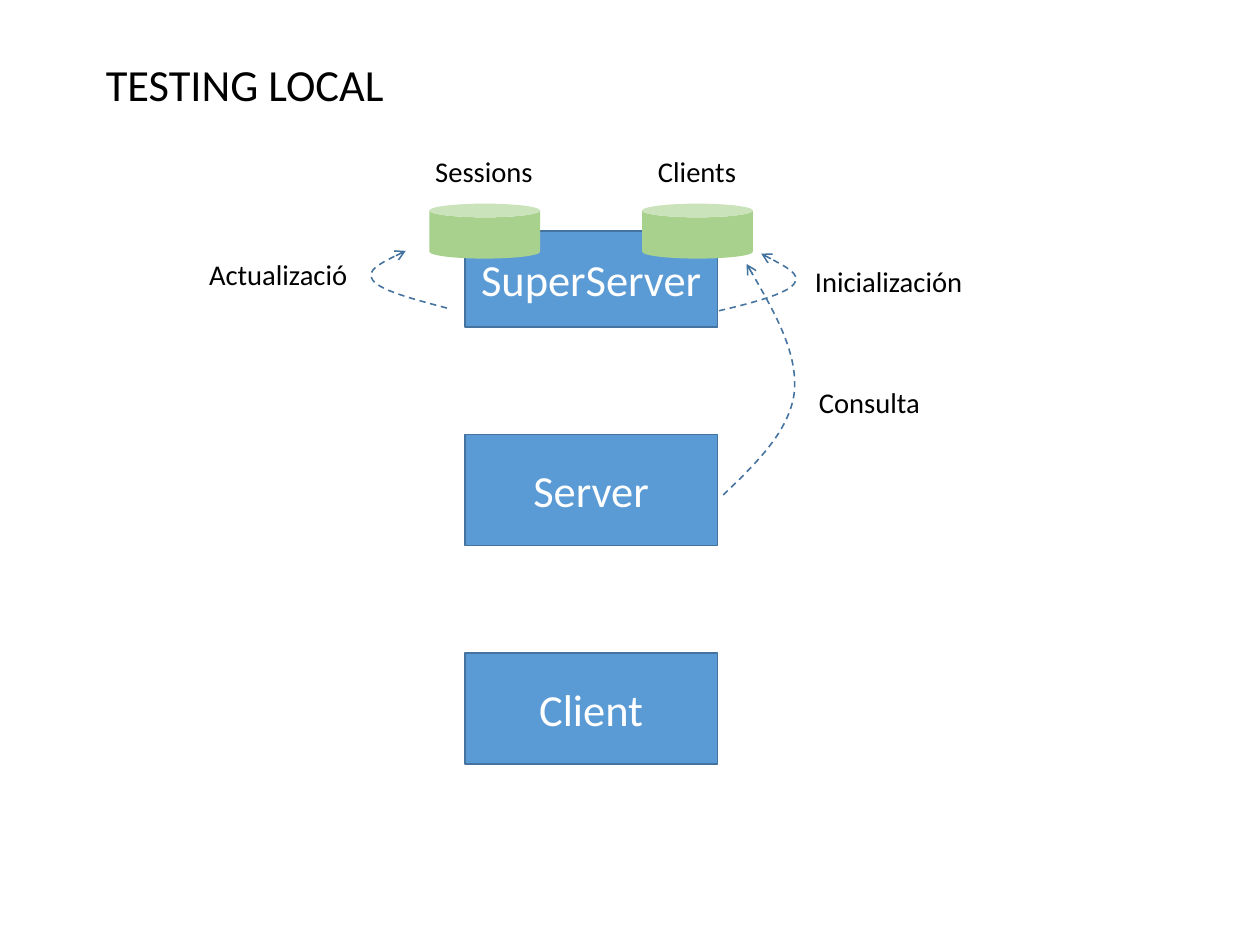
import dataclasses

import lxml.etree
import pptx
import pptx.dml.color
import pptx.enum.dml
import pptx.enum.shapes
import pptx.enum.text
import pptx.oxml.ns
import pptx.shapes.autoshape
import pptx.shapes.base
import pptx.slide
import pptx.text.text
import pptx.util

Pt = pptx.util.Pt
Color = pptx.dml.color.RGBColor
Point = tuple[float, float]


@dataclasses.dataclass(frozen=True)
class Theme:
    font: str = "Calibri"
    heading_size: float = 28
    label_size: float = 18
    line_width: float = 1
    text: Color = Color(0x00, 0x00, 0x00)
    box_text: Color = Color(0xFF, 0xFF, 0xFF)
    box: Color = Color(0x5B, 0x9B, 0xD5)
    outline: Color = Color(0x43, 0x73, 0x9E)
    store: Color = Color(0xA9, 0xD1, 0x8E)


@dataclasses.dataclass(frozen=True)
class Label:
    text: str
    left: float
    top: float
    width: float


@dataclasses.dataclass(frozen=True)
class Box:
    text: str
    top: float
    height: float


@dataclasses.dataclass(frozen=True)
class Arrow:
    start: Point
    curves: tuple[tuple[Point, Point, Point], ...]


THEME = Theme()
SLIDE_WIDTH, SLIDE_HEIGHT = 793.7, 595.3
BOX_LEFT, BOX_WIDTH = 292.8, 159.2
STORE_TOP, STORE_WIDTH, STORE_HEIGHT = 128.3, 69.8, 34.6
LABEL_HEIGHT = 29
STORE_LABEL_TOP = 93.6
TITLE = Label("TESTING LOCAL", 59.5, 32.5, 191.5)
TITLE_HEIGHT = 41.2
BOXES = (
    Box("Client", 411.2, 70),
    Box("Server", 273.8, 70),
    Box("SuperServer", 145.6, 60.6),
)
STORE_LEFTS = (270.5, 404.5)
LABELS = (
    Label("Sessions", 267.1, STORE_LABEL_TOP, 76.3),
    Label("Clients", 407.4, STORE_LABEL_TOP, 64.1),
    Label("Inicialización", 506.2, 162.9, 108.7),
    Label("Actualizació", 124.6, 158.4, 102.2),
    Label("Consulta", 508.8, 239.2, 78.5),
)
ARROWS = (
    Arrow((452.9, 195.8), (
        ((474.5, 190.8), (496.1, 185), (500.4, 178.6)),
        ((504.7, 172.8), (491.8, 166.3), (479.5, 159.8)),
    )),
    Arrow((281.5, 194.1), (
        ((260.6, 188.6), (239, 182.9), (234.7, 176.4)),
        ((230.4, 170.6), (242.6, 164.2), (255.6, 158.1)),
    )),
    Arrow((455.6, 311.8), (
        ((476.6, 291.6), (497.5, 271.4), (500.4, 247)),
        ((502.6, 222.5), (486.7, 194.4), (470.4, 166.3)),
    )),
)


def place(shape: pptx.shapes.base.BaseShape, label: Label, height: float) -> None:
    shape.left, shape.top = Pt(label.left), Pt(label.top)
    shape.width, shape.height = Pt(label.width), Pt(height)


def write(frame: pptx.text.text.TextFrame, text: str, size: float, color: Color,
          alignment: pptx.enum.text.PP_ALIGN) -> None:
    frame.text = text
    paragraph = frame.paragraphs[0]
    paragraph.alignment = alignment
    paragraph.font.name = THEME.font
    paragraph.font.size = Pt(size)
    paragraph.font.color.rgb = color


def write_label(shape: pptx.shapes.autoshape.Shape, label: Label,
                height: float, size: float) -> None:
    place(shape, label, height)
    frame = shape.text_frame
    frame.word_wrap = False
    frame.auto_size = pptx.enum.text.MSO_AUTO_SIZE.SHAPE_TO_FIT_TEXT
    frame.vertical_anchor = pptx.enum.text.MSO_ANCHOR.TOP
    write(frame, label.text, size, THEME.text, pptx.enum.text.PP_ALIGN.LEFT)


def outline(shape: pptx.shapes.autoshape.Shape) -> None:
    shape.line.color.rgb = THEME.outline
    shape.line.width = Pt(THEME.line_width)


def add_filled(slide: pptx.slide.Slide, kind: pptx.enum.shapes.MSO_SHAPE,
               left: float, top: float, width: float, height: float,
               color: Color) -> pptx.shapes.autoshape.Shape:
    shape = slide.shapes.add_shape(kind, Pt(left), Pt(top), Pt(width), Pt(height))
    shape.shadow.inherit = False
    shape.fill.solid()
    shape.fill.fore_color.rgb = color
    return shape


def add_box(slide: pptx.slide.Slide, box: Box) -> None:
    shape = add_filled(slide, pptx.enum.shapes.MSO_SHAPE.RECTANGLE,
                       BOX_LEFT, box.top, BOX_WIDTH, box.height, THEME.box)
    outline(shape)
    shape.text_frame.vertical_anchor = pptx.enum.text.MSO_ANCHOR.MIDDLE
    write(shape.text_frame, box.text, THEME.heading_size, THEME.box_text,
          pptx.enum.text.PP_ALIGN.CENTER)


def add_store(slide: pptx.slide.Slide, left: float) -> None:
    shape = add_filled(slide, pptx.enum.shapes.MSO_SHAPE.CAN,
                       left, STORE_TOP, STORE_WIDTH, STORE_HEIGHT, THEME.store)
    shape.line.fill.background()


def bend(shape: pptx.shapes.autoshape.Shape, arrow: Arrow) -> None:
    qn = pptx.oxml.ns.qn
    segments = list(shape.element.spPr.iter(qn("a:lnTo")))
    for segment, curve in zip(segments, arrow.curves):
        bezier = lxml.etree.Element(qn("a:cubicBezTo"))
        for x, y in curve:
            lxml.etree.SubElement(bezier, qn("a:pt"),
                                  x=str(Pt(x) - shape.left), y=str(Pt(y) - shape.top))
        segment.getparent().replace(segment, bezier)


def add_arrow(slide: pptx.slide.Slide, arrow: Arrow) -> None:
    start_x, start_y = arrow.start
    builder = slide.shapes.build_freeform(Pt(start_x), Pt(start_y))
    ends = [(Pt(x), Pt(y)) for *_, (x, y) in arrow.curves]
    builder.add_line_segments(ends, close=False)
    shape = builder.convert_to_shape()
    bend(shape, arrow)
    shape.shadow.inherit = False
    shape.fill.background()
    outline(shape)
    shape.line.dash_style = pptx.enum.dml.MSO_LINE.DASH
    line = shape.element.spPr.find(pptx.oxml.ns.qn("a:ln"))
    lxml.etree.SubElement(line, pptx.oxml.ns.qn("a:tailEnd"), type="arrow")


def main() -> None:
    presentation = pptx.Presentation()
    presentation.slide_width = Pt(SLIDE_WIDTH)
    presentation.slide_height = Pt(SLIDE_HEIGHT)
    slide = presentation.slides.add_slide(
        presentation.slide_layouts.get_by_name("Title Only"))
    write_label(slide.shapes.title, TITLE, TITLE_HEIGHT, THEME.heading_size)
    for box in BOXES:
        add_box(slide, box)
    for left in STORE_LEFTS:
        add_store(slide, left)
    for label in LABELS:
        shape = slide.shapes.add_textbox(0, 0, 0, 0)
        write_label(shape, label, LABEL_HEIGHT, THEME.label_size)
    for arrow in ARROWS:
        add_arrow(slide, arrow)
    presentation.save("out.pptx")


if __name__ == "__main__":
    main()
